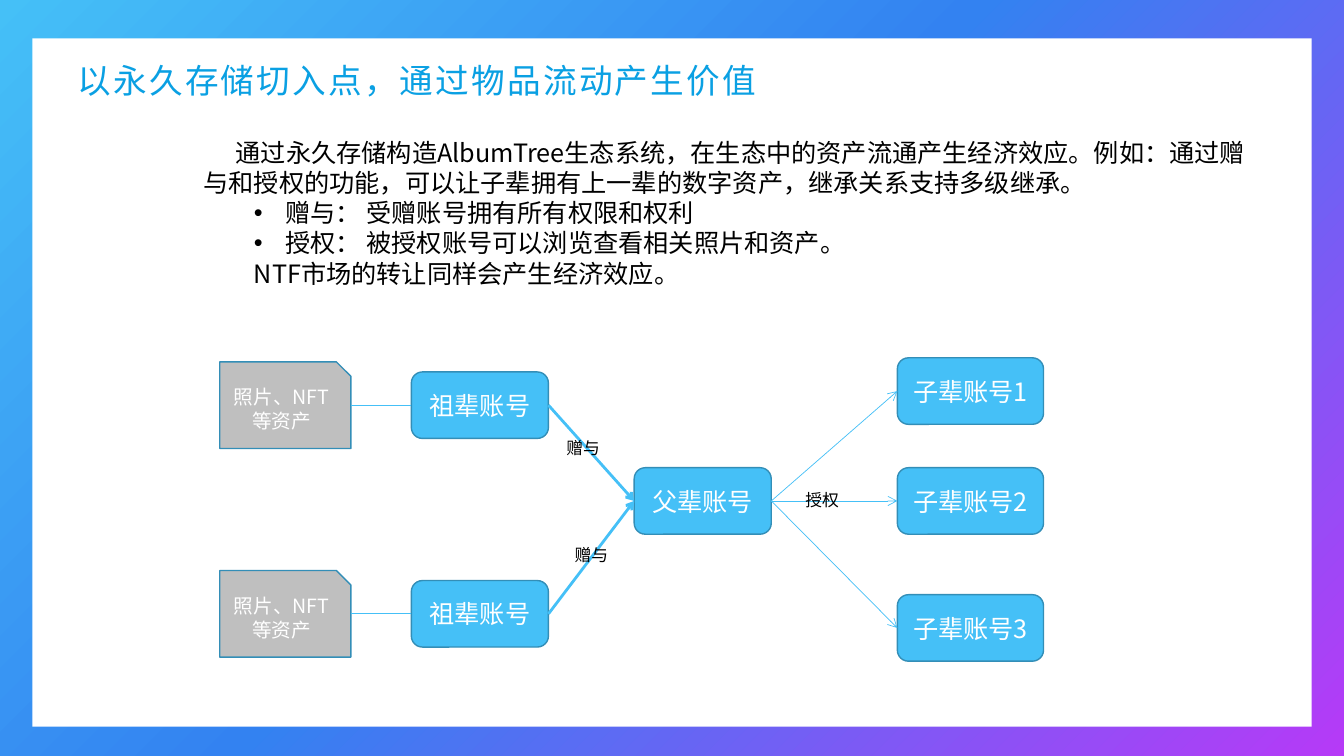
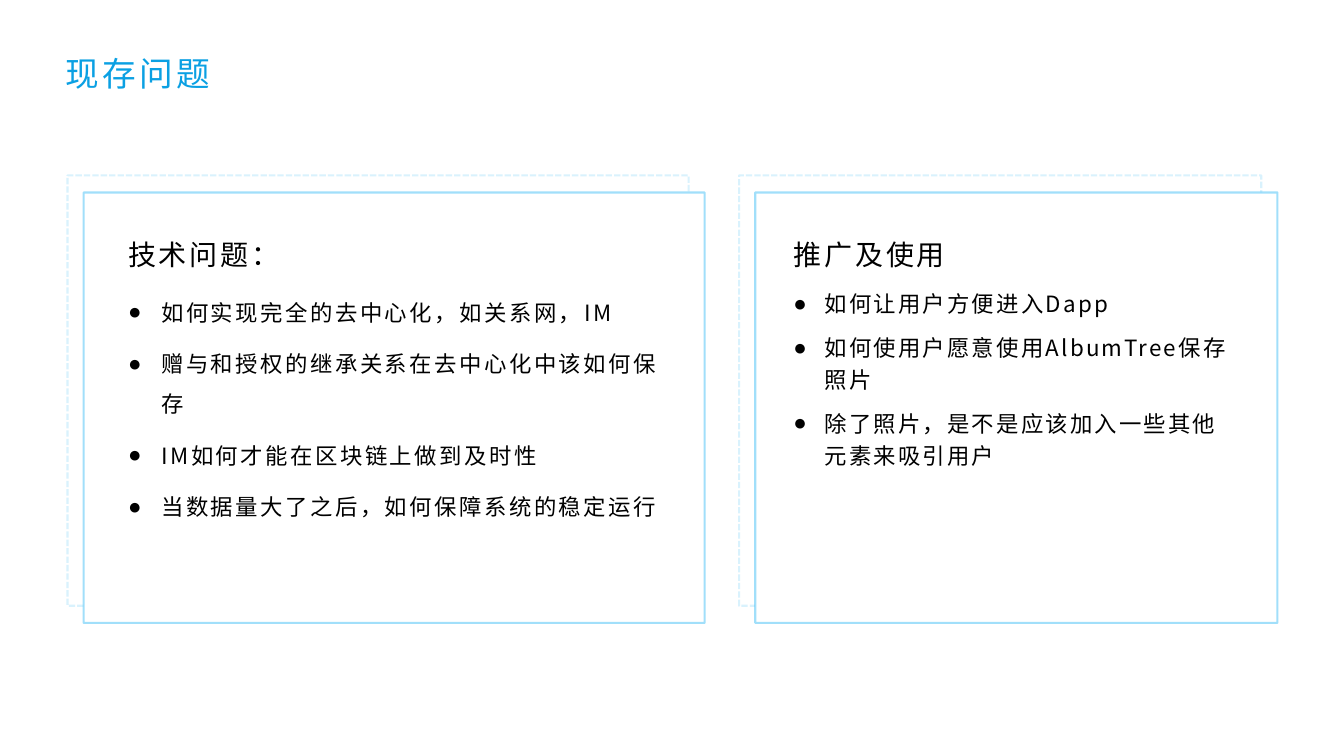
"""Build two slides on asset inheritance and open problems."""
from copy import deepcopy

from lxml import etree
from pptx import Presentation
from pptx.dml.color import RGBColor
from pptx.enum.dml import MSO_LINE
from pptx.enum.shapes import MSO_CONNECTOR, MSO_SHAPE
from pptx.enum.text import MSO_ANCHOR, PP_ALIGN
from pptx.oxml.ns import qn
from pptx.util import Pt

PX = 9144
FONT = "Noto Sans CJK SC"
COLORS = {
    "white": "FFFFFF", "black": "000000", "title": "0AA0E3", "sky": "45C0F7",
    "edge": "338EB7", "gray": "BFBFBF", "blue": "3382F1", "purple": "B63AF7",
}
RECT, ROUND, SNIP = MSO_SHAPE.RECTANGLE, MSO_SHAPE.ROUNDED_RECTANGLE, MSO_SHAPE.SNIP_1_RECTANGLE
STRAIGHT = MSO_CONNECTOR.STRAIGHT
DASH, SOLID = MSO_LINE.SQUARE_DOT, MSO_LINE.SOLID
TOP, MIDDLE, BOTTOM = MSO_ANCHOR.TOP, MSO_ANCHOR.MIDDLE, MSO_ANCHOR.BOTTOM
LEFT, CENTER = PP_ALIGN.LEFT, PP_ALIGN.CENTER
TIGHT = (7, 3, 7, 3)
NORMAL = (10, 5, 10, 5)


def rgb(name):
    return RGBColor.from_string(COLORS[name])


def emu(*lengths):
    return [n * PX for n in lengths]


def add_para(tf, text, size, color="black", spc=0, align=LEFT, margin=0, indent=0,
             bullet=None, spacing=None, after=0):
    p = tf.paragraphs[0]
    if p.runs:
        p = tf.add_paragraph()
    p.alignment = align
    pPr = p._p.get_or_add_pPr()
    pPr.set("marL", str(margin * PX))
    pPr.set("indent", str(indent * PX))
    if bullet:
        etree.SubElement(pPr, qn("a:buFont")).set("typeface", "Arial")
        etree.SubElement(pPr, qn("a:buChar")).set("char", bullet)
    if spacing:
        p.line_spacing = spacing
    p.space_after = Pt(after)
    r = p.add_run()
    r.text = text
    r.font.size = Pt(size)
    r.font.name = FONT
    r.font.color.rgb = rgb(color)
    rPr = r._r.get_or_add_rPr()
    etree.SubElement(rPr, qn("a:ea")).set("typeface", FONT)
    if spc:
        rPr.set("spc", str(round(spc * 100)))


def add_text(s, box, anchor=TOP, insets=NORMAL, wrap=True):
    tf = s.shapes.add_textbox(*emu(*box)).text_frame
    tf.word_wrap = wrap
    tf.vertical_anchor = anchor
    tf.margin_left, tf.margin_top, tf.margin_right, tf.margin_bottom = emu(*insets)
    return tf


def add_box(s, kind, box, fill=None, line=None, width=1, dash=SOLID, alpha=100):
    sp = s.shapes.add_shape(kind, *emu(*box))
    sp.shadow.inherit = False
    if fill:
        sp.fill.solid()
        sp.fill.fore_color.rgb = rgb(fill)
    else:
        sp.fill.background()
    if not line:
        sp.line.fill.background()
        return sp
    sp.line.color.rgb = rgb(line)
    sp.line.width = Pt(width)
    sp.line.dash_style = dash
    if alpha < 100:
        clr = sp.line._ln.find(".//" + qn("a:srgbClr"))
        etree.SubElement(clr, qn("a:alpha")).set("val", str(alpha * 1000))
    return sp


def add_node(s, kind, box, text, size=18, fill="sky"):
    sp = add_box(s, kind, box, fill, "edge")
    sp.text_frame.word_wrap = True
    sp.text_frame.vertical_anchor = MIDDLE
    add_para(sp.text_frame, text, size, "white", align=CENTER)
    return sp


def add_link(s, start, end, width=0.5, arrow=True):
    cx = s.shapes.add_connector(
        STRAIGHT, start.left + start.width, start.top + start.height // 2,
        end.left, end.top + end.height // 2)
    cx.line.color.rgb = rgb("sky")
    cx.line.width = Pt(width)
    if arrow:
        etree.SubElement(cx.line._ln, qn("a:tailEnd")).set("type", "arrow")
    etree.SubElement(cx._element.spPr, qn("a:effectLst"))


def add_title(s, text, box, spc, anchor=TOP):
    add_para(add_text(s, box, anchor, TIGHT), text, 24, "title", spc)


def add_label(s, x, y, text):
    add_para(add_text(s, (x, y, 53, 30), wrap=False), text, 12)


def set_gradient(s, stops):
    fill = s.background.fill
    fill.gradient()
    fill.gradient_angle = 315
    gs_list = s.element.find(".//" + qn("a:gsLst"))
    while len(gs_list) < len(stops):
        gs_list.append(deepcopy(gs_list[0]))
    for stop, (position, color) in zip(fill.gradient_stops, stops):
        stop.position = position
        stop.color.rgb = rgb(color)


def add_panel(s, x, w, text_x, heading, items, spc, spacing, hang):
    add_box(s, RECT, (x, 174, w, 427), None, "sky", 1.5, DASH, 20)
    add_box(s, RECT, (x + 16, 191, w, 427), "white", "sky", 1.5, SOLID, 50)
    text_w = w - 73 if w > 600 else w - 61
    tf = add_text(s, (text_x, 171, text_w, 101), BOTTOM, TIGHT)
    add_para(tf, heading, 20, spc=2)
    tf = add_text(s, (text_x, 280, text_w, 268), TOP, TIGHT)
    for item in items:
        add_para(tf, item, 16, spc=spc, margin=hang, indent=-hang, bullet="●",
                 spacing=spacing, after=8)


def build_flow(prs):
    s = prs.slides.add_slide(prs.slide_layouts[6])
    set_gradient(s, [(0, "sky"), (0.47, "blue"), (1, "purple")])
    add_box(s, RECT, (32, 38, 1269, 683), "white")
    add_title(s, "以永久存储切入点，通过物品流动产生价值", (70, 38, 1133, 83), 1.6, MIDDLE)

    parent = add_node(s, ROUND, (629, 464, 136, 66), "父辈账号")
    for i, y in enumerate((355, 464, 590), 1):
        child = add_node(s, ROUND, (890, y, 145, 66), f"子辈账号{i}")
        add_link(s, parent, child)
    for y in (369, 576):
        elder = add_node(s, ROUND, (408, y, 136, 66), "祖辈账号")
        asset = add_node(s, SNIP, (218, y - 10, 130, 86), "照片、NFT等资产", 14, "gray")
        add_link(s, asset, elder, arrow=False)
        add_link(s, elder, parent, 2)
    for x, y, text in ((552, 429, "赠与"), (560, 536, "赠与"), (789, 481, "授权")):
        add_label(s, x, y, text)

    tf = add_text(s, (192, 131, 1057, 161))
    add_para(tf, "通过永久存储构造AlbumTree生态系统，在生态中的资产流通产生经济效应。"
             "例如：通过赠与和授权的功能，可以让子辈拥有上一辈的数字资产，继承关系支持多级继承。",
             18, indent=32)
    for text in ("赠与： 受赠账号拥有所有权限和权利",
                 "授权： 被授权账号可以浏览查看相关照片和资产。"):
        add_para(tf, text, 18, margin=81, indent=-31, bullet="•")
    add_para(tf, "NTF市场的转让同样会产生经济效应。", 18, margin=50)


def build_problems(prs):
    s = prs.slides.add_slide(prs.slide_layouts[6])
    s.background.fill.solid()
    s.background.fill.fore_color.rgb = rgb("white")
    add_title(s, "现存问题", (58, 50, 1200, 83), 2.4)
    add_panel(s, 67, 616, 120, "技术问题：", (
        "如何实现完全的去中心化，如关系网，IM",
        "赠与和授权的继承关系在去中心化中该如何保存",
        "IM如何才能在区块链上做到及时性",
        "当数据量大了之后，如何保障系统的稳定运行",
    ), 1.8, 1.5, 33)
    add_panel(s, 733, 518, 780, "推广及使用", (
        "如何让用户方便进入Dapp",
        "如何使用户愿意使用AlbumTree保存照片",
        "除了照片，是不是应该加入一些其他元素来吸引用户",
    ), 1.6, 1.2, 31)


def main():
    prs = Presentation()
    prs.slide_width, prs.slide_height = emu(1333, 750)
    build_flow(prs)
    build_problems(prs)
    prs.save("out.pptx")


if __name__ == "__main__":
    main()
